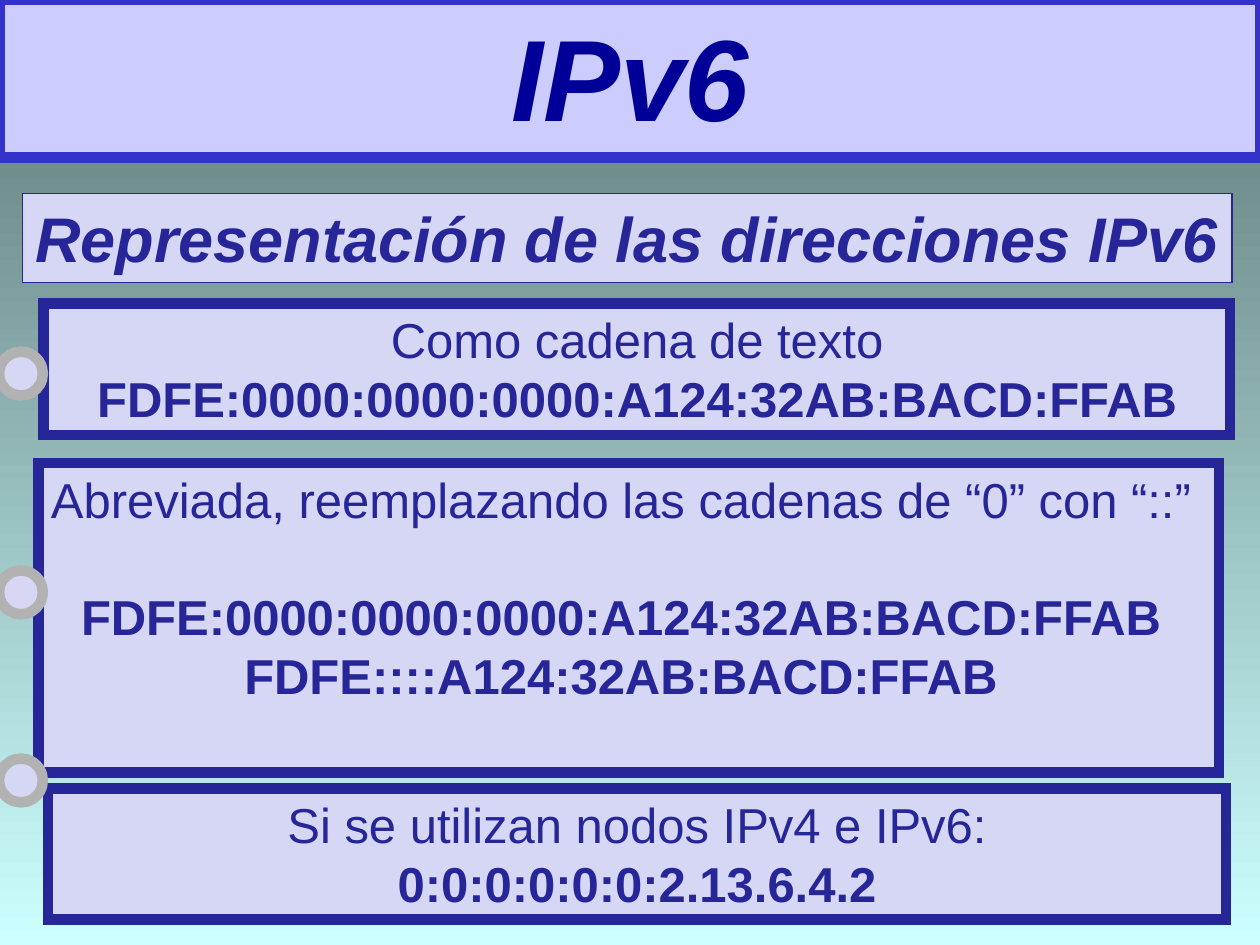
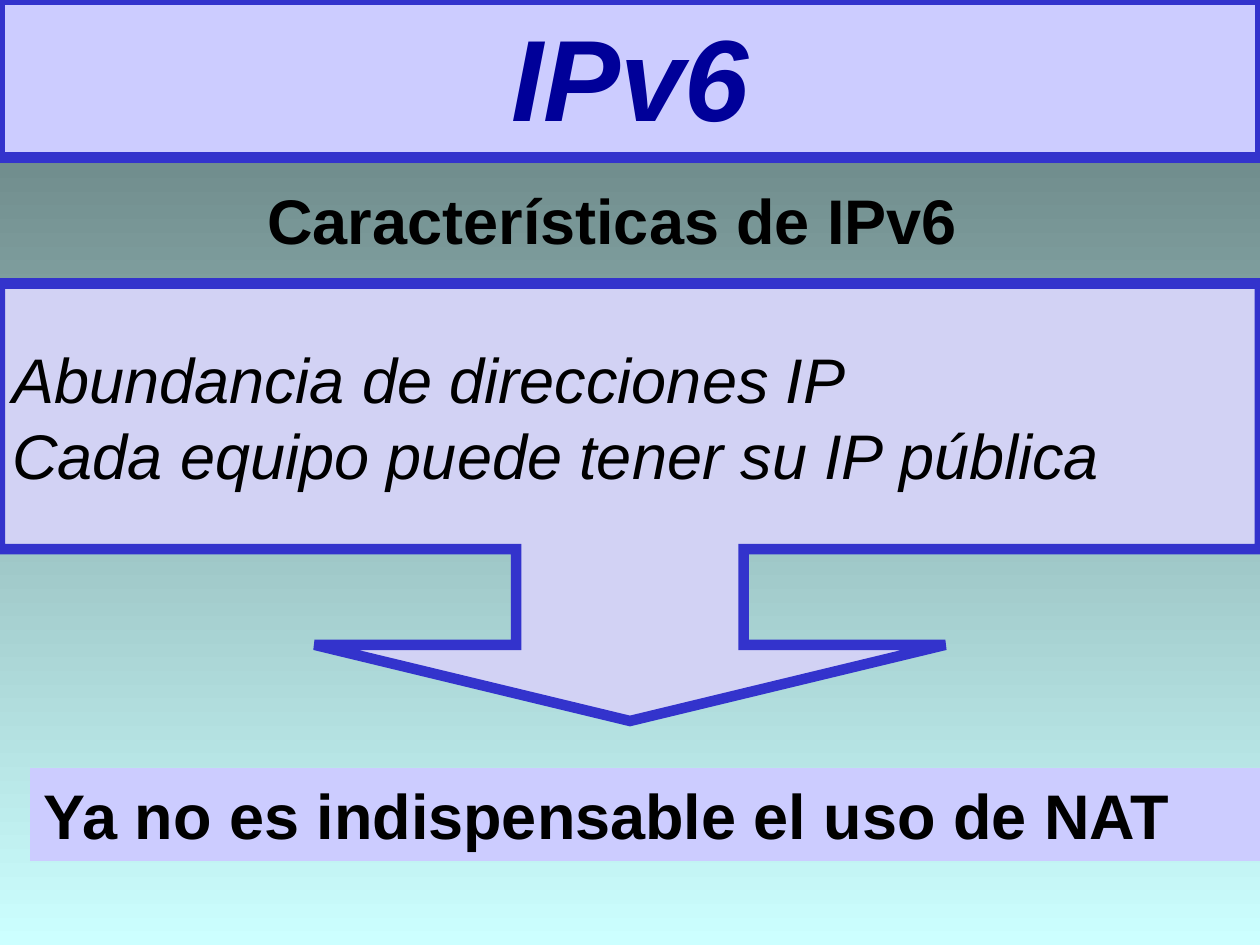
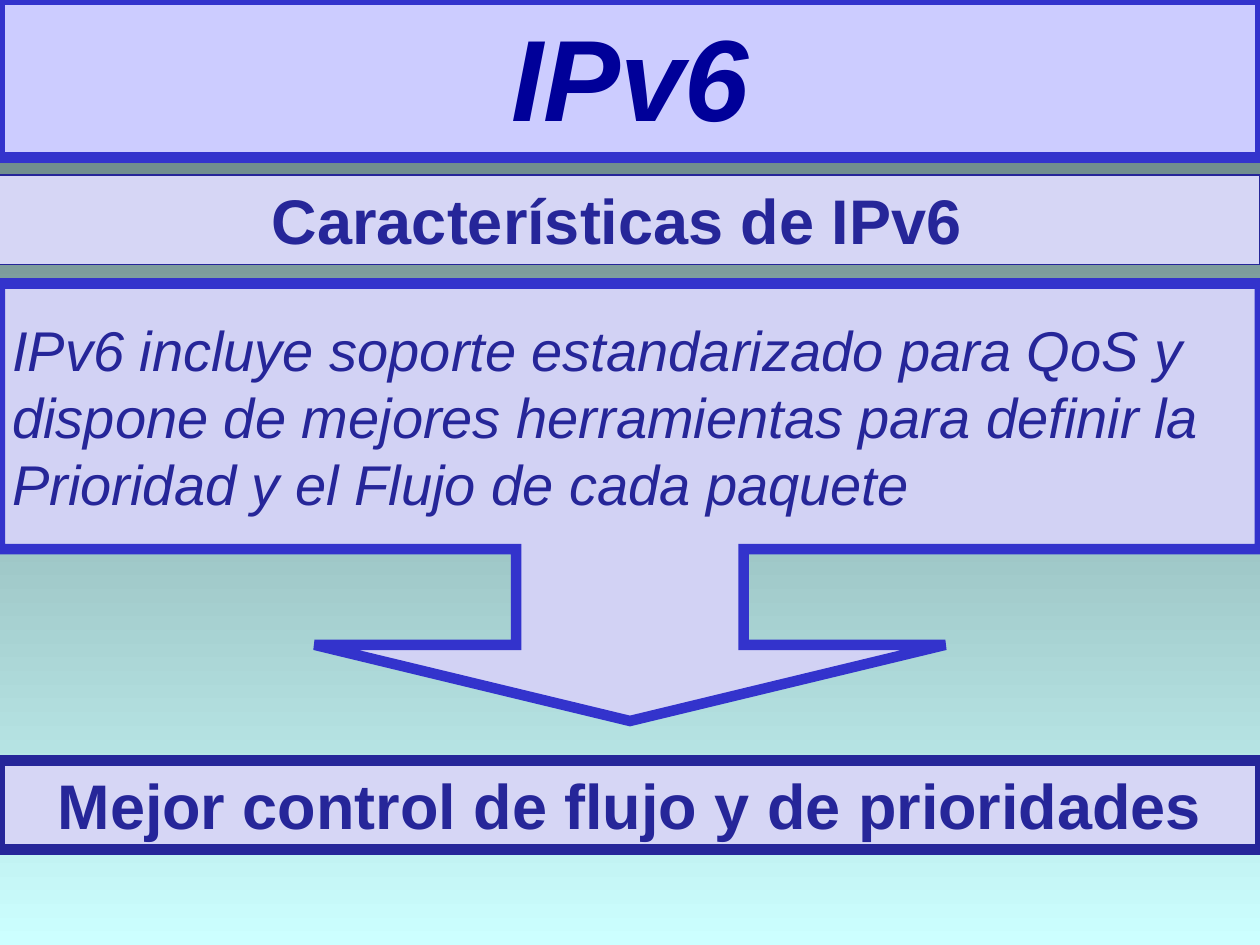
import pptx
import pptx.dml.color
import pptx.enum.shapes
import pptx.enum.text
import pptx.oxml.ns
import pptx.util
import lxml.etree

Pt = pptx.util.Pt
SHAPE = pptx.enum.shapes.MSO_SHAPE
ALIGN = pptx.enum.text.PP_ALIGN
ANCHOR = pptx.enum.text.MSO_ANCHOR

FONT = "Arial"
COLORS = {
    "sky_top": "5E7676",
    "sky_bottom": "CCFFFF",
    "band": "CCCCFF",
    "band_line": "3333CC",
    "title": "000099",
    "panel": "D6D6F5",
    "navy": "262699",
    "callout": "D2D2F4",
    "ring": "B2B2B2",
    "black": "000000",
}
ADDRESS = "FDFE:0000:0000:0000:A124:32AB:BACD:FFAB"
FEATURES = "Características de IPv6"


def rgb(name):
    """Return the named colour."""
    return pptx.dml.color.RGBColor.from_string(COLORS[name])


def paint_background(prs):
    """Give the slide master its vertical gradient."""
    fill = prs.slide_master.background.fill
    fill.gradient()
    fill.gradient_angle = 270
    for stop, position, name in zip(fill.gradient_stops, (0, 1), ("sky_top", "sky_bottom")):
        stop.position = position
        stop.color.rgb = rgb(name)


def write(sp, text, size, color="navy", bold=False, italic=False, align=ALIGN.CENTER,
          anchor=ANCHOR.TOP):
    """Write one paragraph per line of text in a single style."""
    tf = sp.text_frame
    tf.word_wrap = True
    tf.vertical_anchor = anchor
    tf.text = text
    for p in tf.paragraphs:
        p.alignment = align
        for r in p.runs:
            r.font.name = FONT
            r.font.size = Pt(size)
            r.font.bold = bold
            r.font.italic = italic
            r.font.color.rgb = rgb(color)


def add_box(s, left, top, width, height, fill="panel", line="navy", weight=6,
            kind=SHAPE.RECTANGLE):
    """Add a flat preset shape with sharp line corners."""
    sp = s.shapes.add_shape(kind, Pt(left), Pt(top), Pt(width), Pt(height))
    sp.shadow.inherit = False
    sp.fill.solid()
    sp.fill.fore_color.rgb = rgb(fill)
    sp.line.color.rgb = rgb(line)
    sp.line.width = Pt(weight)
    miter = lxml.etree.SubElement(sp.line._get_or_add_ln(), pptx.oxml.ns.qn("a:miter"))
    miter.set("lim", "800000")
    return sp


def add_panel(s, left, top, width, height, text):
    """Add a framed panel with a plain first line and bold lines after it."""
    sp = add_box(s, left, top, width, height)
    write(sp, text, 28)
    for p in sp.text_frame.paragraphs[1:]:
        p.runs[0].font.bold = True
    return sp


def add_ring(s, top):
    """Add a binder ring at the left edge."""
    add_box(s, -0.5, top, 25, 25, line="ring", kind=SHAPE.FLOWCHART_CONNECTOR)


def add_callout(s, text, size, color):
    """Add the wide callout whose arrow points down to the conclusion."""
    sp = add_box(s, 0, 162, 720, 250, "callout", "band_line", kind=SHAPE.DOWN_ARROW_CALLOUT)
    for i, value in enumerate((0.52, 0.721, 0.174, 0.607)):
        sp.adjustments[i] = value
    write(sp, text, size, color, italic=True, align=ALIGN.LEFT, anchor=ANCHOR.MIDDLE)


def add_slide(prs):
    """Add a blank slide with the title band."""
    s = prs.slides.add_slide(prs.slide_layouts[6])
    sp = add_box(s, 0, 0, 720, 90, "band", "band_line")
    write(sp, "IPv6", 66, "title", bold=True, italic=True)
    return s


def build_representation(prs):
    """Build the slide on writing IPv6 addresses."""
    s = add_slide(prs)
    heading = add_box(s, 13, 110.5, 691, 51, weight=0.75)
    write(heading, "Representación de las direcciones IPv6", 36, bold=True, italic=True,
          align=ALIGN.LEFT)
    add_panel(s, 25, 173.5, 678, 75, f"Como cadena de texto\n{ADDRESS}")
    short = add_panel(s, 22, 264.5, 674.5, 177,
                      "Abreviada, reemplazando las cadenas de “0” con “::”\n"
                      f"{ADDRESS}\nFDFE::::A124:32AB:BACD:FFAB")
    short.text_frame.margin_left = Pt(0)
    short.text_frame.margin_right = Pt(9)
    short.text_frame.paragraphs[1].space_before = Pt(33.5)
    add_panel(s, 27.5, 450.5, 673, 75,
              "Si se utilizan nodos IPv4 e IPv6:\n0:0:0:0:0:0:2.13.6.4.2")
    for top in (201, 326, 433.5):
        add_ring(s, top)


def build_addresses(prs):
    """Build the slide on the abundance of addresses."""
    s = add_slide(prs)
    heading = s.shapes.add_textbox(Pt(0), Pt(100), Pt(700), Pt(50.5))
    write(heading, FEATURES, 36, "black", bold=True)
    result = add_box(s, 18, 440, 702, 51, "band", "band", 2.25)
    write(result, "Ya no es indispensable el uso de NAT", 36, "black", bold=True,
          align=ALIGN.LEFT)
    add_callout(s, "Abundancia de direcciones IP\nCada equipo puede tener su IP pública",
                36, "black")


def build_quality(prs):
    """Build the slide on quality of service."""
    s = add_slide(prs)
    heading = add_box(s, -15, 100, 735, 51, weight=0.75)
    write(heading, FEATURES, 36, bold=True)
    result = add_box(s, 0, 434.5, 720, 51)
    write(result, "Mejor control de flujo y de prioridades", 36, bold=True)
    add_callout(s, "IPv6 incluye soporte estandarizado para QoS y\n"
                   "dispone de mejores herramientas para definir la\n"
                   "Prioridad y el Flujo de cada paquete", 32, "navy")


def main():
    """Build and save the presentation."""
    prs = pptx.Presentation()
    prs.slide_width = Pt(720)
    prs.slide_height = Pt(540)
    paint_background(prs)
    build_representation(prs)
    build_addresses(prs)
    build_quality(prs)
    prs.save("out.pptx")


if __name__ == "__main__":
    main()
